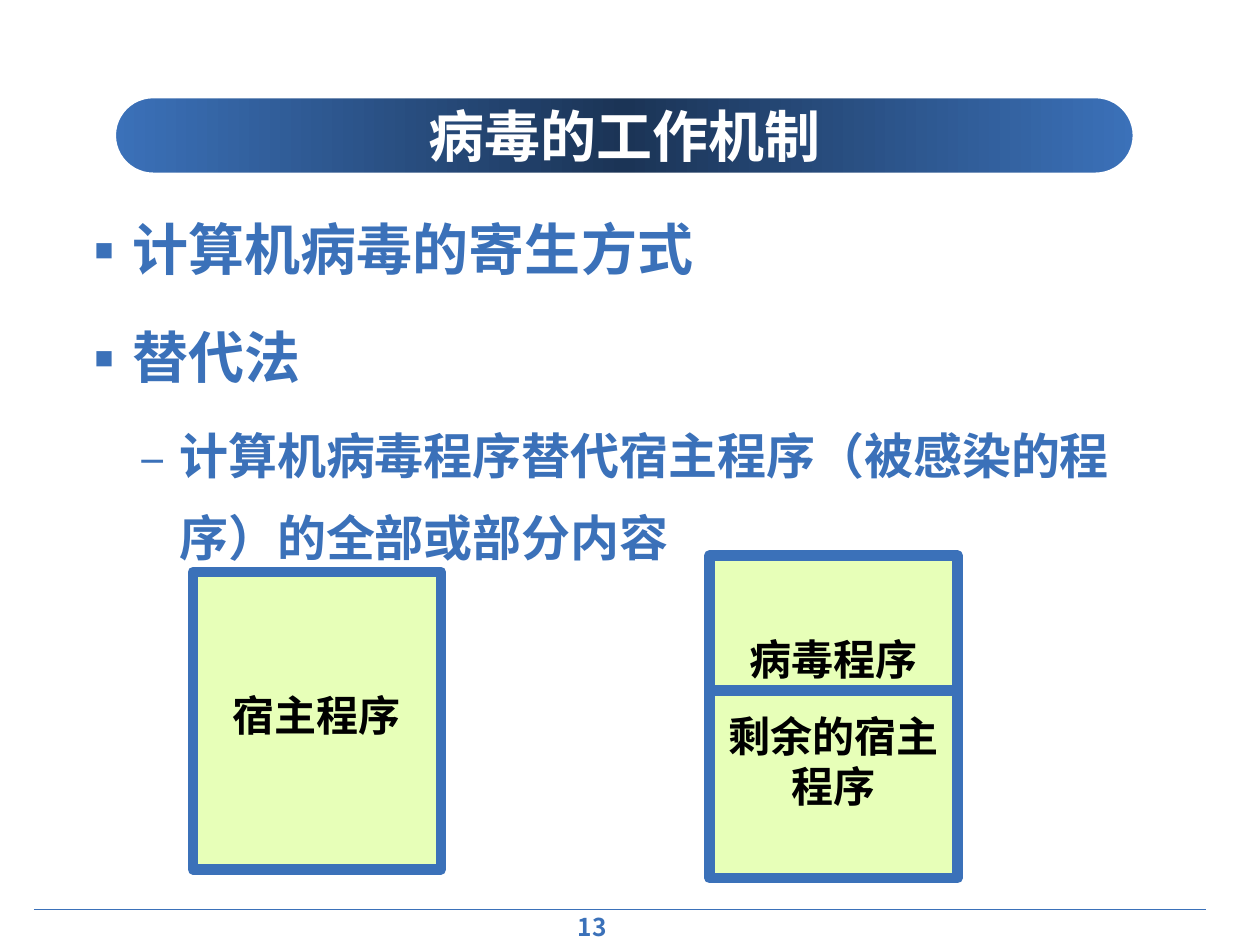
import copy
import dataclasses

import pptx
import pptx.dml.color
import pptx.enum.lang
import pptx.enum.shapes
import pptx.enum.text
import pptx.oxml
import pptx.oxml.ns
import pptx.util

Pt = pptx.util.Pt
Rgb = pptx.dml.color.RGBColor.from_string
Kind = pptx.enum.shapes.MSO_SHAPE
Mid = pptx.enum.text.MSO_ANCHOR.MIDDLE
Top = pptx.enum.text.MSO_ANCHOR.TOP
Center = pptx.enum.text.PP_ALIGN.CENTER
Left = pptx.enum.text.PP_ALIGN.LEFT


@dataclasses.dataclass(frozen=True)
class Theme:
    blue: str = "3B71B9"
    navy: str = "1B3456"
    lime: str = "E7FFB8"
    white: str = "FFFFFF"
    black: str = "000000"
    sans: str = "Noto Sans CJK SC"
    serif: str = "Times New Roman"
    east: str = "DejaVu Sans"
    head: int = 32
    sub: int = 28
    label: int = 24
    small: int = 14


class Deck:
    def __init__(self, theme):
        self.theme = theme
        self.file = pptx.Presentation()
        self.file.slide_width, self.file.slide_height = Pt(720), Pt(540)
        self.slide = self.file.slides.add_slide(self.file.slide_layouts[1])
        self.shapes = self.slide.shapes

    def add(self, tag, parent, **values):
        item = pptx.oxml.parse_xml(f"<{tag} {pptx.oxml.ns.nsdecls('a')}/>")
        for key, value in values.items():
            item.set(key, value)
        parent.append(item)

    def run(self, para, text, size, color, face):
        run = para.add_run()
        run.text = text
        font = run.font
        font.size, font.bold, font.name = Pt(size), True, face
        font.color.rgb = Rgb(color)
        font.language_id = pptx.enum.lang.MSO_LANGUAGE_ID.SIMPLIFIED_CHINESE
        self.add("a:ea", font._element, typeface=self.theme.east)

    def frame(self, shape, anchor, pads):
        frame = shape.text_frame
        frame.word_wrap = True
        frame.auto_size = pptx.enum.text.MSO_AUTO_SIZE.NONE
        frame.vertical_anchor = anchor
        (frame.margin_left, frame.margin_top,
         frame.margin_right, frame.margin_bottom) = map(Pt, pads)
        return frame

    def paras(self, frame, items):
        for num, item in enumerate(items):
            yield (frame.add_paragraph() if num else frame.paragraphs[0]), item, num

    def place(self, shape, area):
        shape.left, shape.top, shape.width, shape.height = map(Pt, area)
        # Bring to the front, so call order sets the stacking
        self.shapes._spTree.append(shape._element)

    def shape(self, kind, area, line, width):
        shape = self.shapes.add_shape(kind, *map(Pt, area))
        shape.shadow.inherit = False
        shape.line.color.rgb, shape.line.width = Rgb(line), Pt(width)
        return shape

    def banner(self, area):
        bar = self.shape(Kind.ROUNDED_RECTANGLE, area, self.theme.white, 3)
        bar.adjustments[0] = 0.5
        bar.fill.gradient()
        bar.fill.gradient_angle = 0
        first = bar.fill.gradient_stops[0]._gs
        first.addnext(copy.deepcopy(first))
        hues = (self.theme.blue, self.theme.navy, self.theme.blue)
        for stop, spot, hue in zip(bar.fill.gradient_stops, (0, 0.5, 1), hues):
            stop.position, stop.color.rgb = spot, Rgb(hue)

    def title(self, text, area):
        shape = self.shapes.title
        self.place(shape, area)
        para = self.frame(shape, Mid, (0, 0, 0, 0)).paragraphs[0]
        para.alignment = Center
        self.run(para, text, self.theme.head, self.theme.white, self.theme.east)

    def list(self, items, area):
        theme = self.theme
        shape = self.slide.placeholders[1]
        self.place(shape, area)
        frame = self.frame(shape, Top, (7.2, 7, 7.2, 3.6))
        # Per level: mark, margin, hanging indent, space before, size, face
        kinds = (("▪", 27, 27, 8, theme.head, theme.serif),
                 ("–", 58.5, 22.5, 7, theme.sub, theme.sans))
        for para, (level, text), num in self.paras(frame, items):
            mark, edge, hang, gap, size, face = kinds[level]
            para.level, para.alignment = level, Left
            para.line_spacing = 1.4
            para.space_before = Pt(gap if num else 0)
            props = para._p.get_or_add_pPr()
            props.set("marL", str(Pt(edge)))
            props.set("indent", str(-Pt(hang)))
            self.add("a:buClr", props)
            self.add("a:srgbClr", props[-1], val=theme.blue)
            self.add("a:buFont", props, typeface=theme.sans)
            self.add("a:buChar", props, char=mark)
            self.run(para, text, size, theme.blue, face)

    def box(self, items, area, pads):
        theme = self.theme
        box = self.shape(Kind.RECTANGLE, area, theme.blue, 6)
        box.fill.solid()
        box.fill.fore_color.rgb = Rgb(theme.lime)
        frame = self.frame(box, Mid, pads)
        for para, text, num in self.paras(frame, items):
            para.alignment = Center
            para.space_before = Pt(15 if num else 0)
            self.run(para, text, theme.label, theme.black, theme.serif)

    def rule(self, left, right, y, width):
        line = self.shapes.add_connector(
            pptx.enum.shapes.MSO_CONNECTOR.STRAIGHT,
            Pt(left), Pt(y), Pt(right), Pt(y))
        line.line.color.rgb, line.line.width = Rgb(self.theme.blue), Pt(width)
        self.add("a:effectLst", line._element.spPr)

    def page(self, text, area):
        box = self.shapes.add_textbox(*map(Pt, area))
        para = self.frame(box, Top, (7.2, 1.5, 7.2, 3.6)).paragraphs[0]
        para.alignment = Center
        self.run(para, text, self.theme.small, self.theme.blue, self.theme.sans)


def main():
    deck = Deck(Theme())

    # Banner and footer
    deck.banner((64.8, 54.7, 583.9, 45.4))
    deck.rule(19.4, 689, 519.8, 0.75)
    deck.page("13", (263.5, 519.8, 149.8, 20.2))

    # Title and list
    deck.title("病毒的工作机制 ", (70.6, 60.5, 583.9, 33.8))
    deck.list([
        (0, "计算机病毒的寄生方式"),
        (0, "替代法"),
        (1, "计算机病毒程序替代宿主程序（被感染的程序）的全部或部分内容"),
    ], (36.7, 100.1, 648, 226.8))

    # Host before and after the virus takes over part of it
    wide, after = 141.8, 405.4
    deck.box(["宿主程序"], (110.2, 326.9, wide, 169.9), (7.2, 3.6, 7.2, 10))
    deck.box(["病毒程序", "剩余的宿主程序"],
             (after, 317.5, wide, 184.3), (7.2, 10, 7.2, 3.6))
    deck.rule(after, after + wide, 394.6, 6)

    deck.file.save("out.pptx")


if __name__ == "__main__":
    main()
